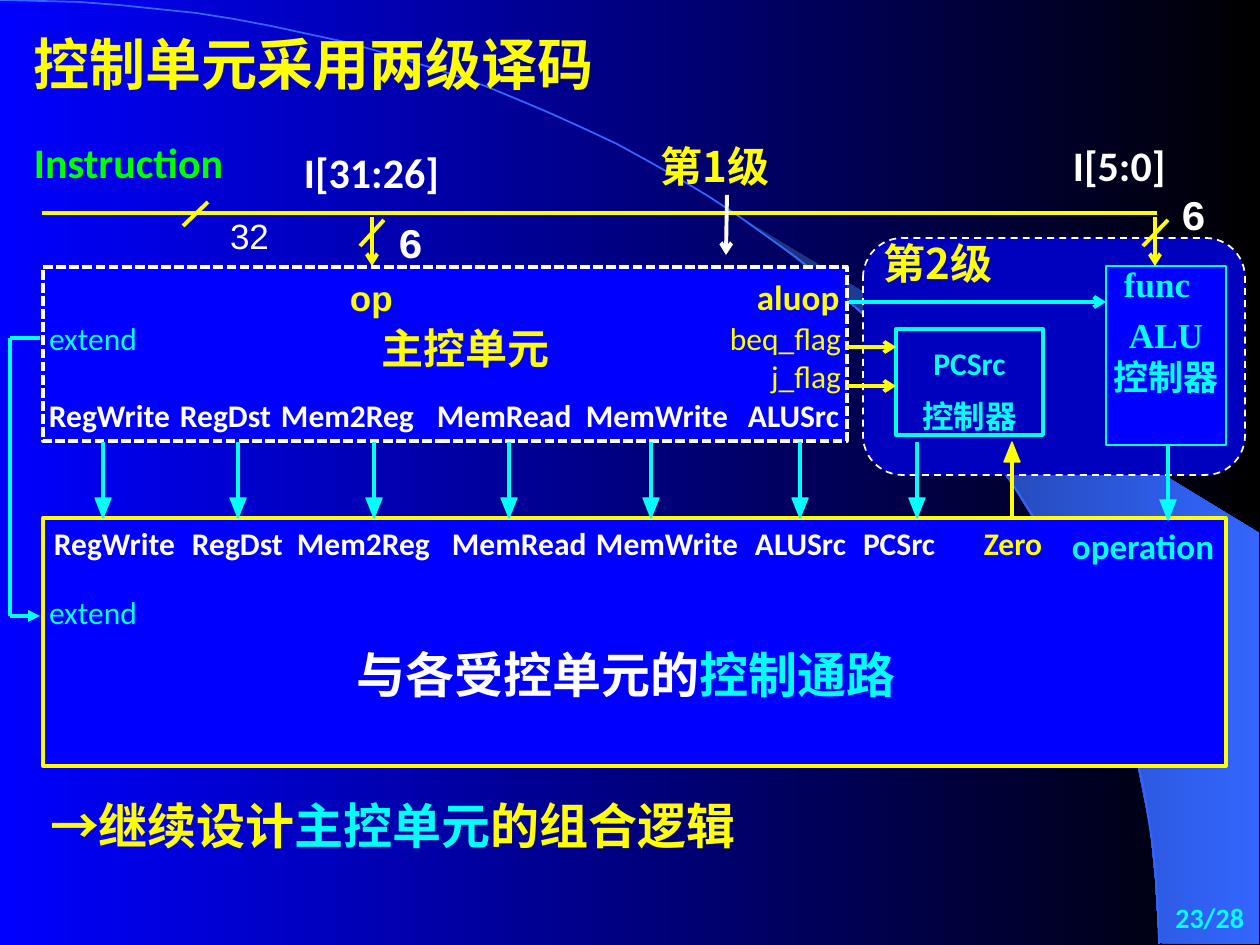
from dataclasses import dataclass
from typing import NamedTuple

from lxml.etree import SubElement
from pptx import Presentation
from pptx.dml.color import RGBColor
from pptx.enum.dml import MSO_LINE
from pptx.enum.shapes import MSO_CONNECTOR, MSO_SHAPE
from pptx.enum.text import MSO_ANCHOR, MSO_AUTO_SIZE, PP_ALIGN
from pptx.oxml.ns import qn
from pptx.util import Emu, Pt

UNIT = 914400 / 126  # EMU per px
SLACK = 6  # px of spare width that keeps a label on one line


@dataclass(frozen=True)
class Theme:
    white: str = "FFFFFF"
    yellow: str = "FFFF00"
    cyan: str = "00FFFF"
    green: str = "00FF00"
    blue: str = "0000FF"
    navy: str = "0000BF"
    black: str = "000000"
    dusk: str = "182F76"
    sky: str = "3366FF"
    sans: str = "Calibri"
    arial: str = "Arial"
    serif: str = "Times New Roman"
    mono: str = "Courier New"
    han: str = "Noto Sans CJK SC"
    page: int = 16
    small: int = 18
    mid: int = 20
    large: int = 24
    huge: int = 28
    title: int = 32
    thin: float = 1
    line: float = 1.87
    bold: float = 2.25


T = Theme()


class Box(NamedTuple):
    x: int
    y: int
    w: int
    h: int


class Label(NamedTuple):
    box: Box
    text: str
    size: int
    color: str
    font: str = T.sans
    bold: bool = True


class Wire(NamedTuple):
    x1: int
    y1: int
    x2: int
    y2: int
    color: str = T.yellow
    tail: str = ""
    width: float = T.bold


class Signal(NamedTuple):
    name: str
    w: int
    top: int   # left edge of the label in the main unit
    low: int   # left edge of the label in the datapath
    stem: int  # x of the arrow


def px(n: float) -> Emu:
    return Emu(round(n * UNIT))


def rgb(color: str) -> RGBColor:
    return RGBColor.from_string(color)


def shade(fill, start: str, end: str) -> None:
    fill.gradient()
    fill.gradient_angle = 0
    for stop, color in zip(fill.gradient_stops, (start, end)):
        stop.color.rgb = rgb(color)


def style(par, size: int, color: str, font: str, bold: bool = True) -> None:
    par.font.size, par.font.bold = Pt(size), bold
    par.font.color.rgb = rgb(color)
    par.font.name = font
    props = par._p.get_or_add_pPr().find(qn("a:defRPr"))
    SubElement(props, qn("a:ea"), typeface=T.han)


def inset(frame, x: int, y: int) -> None:
    frame.margin_left = frame.margin_right = px(x)
    frame.margin_top = frame.margin_bottom = px(y)


def write(frame, label: Label, align=None) -> None:
    """One paragraph a line; '|' parts the runs of a line."""
    for i, row in enumerate(label.text.split("\n")):
        par = frame.paragraphs[0] if i == 0 else frame.add_paragraph()
        for part in row.split("|"):
            par.add_run().text = part
        par.alignment = align
        style(par, label.size, label.color, label.font, label.bold)


def text(shapes, label: Label, align=None, pad: bool = False, wrap: bool = False):
    x, y, w, h = label.box
    spare = 0 if align else SLACK
    frame = shapes.add_textbox(px(x), px(y), px(w + spare), px(h)).text_frame
    frame.word_wrap = wrap
    frame.auto_size = MSO_AUTO_SIZE.SHAPE_TO_FIT_TEXT
    inset(frame, *((13, 6) if pad else (0, 0)))
    write(frame, label, align)
    return frame


def block(shapes, box: Box, fill: str, edge: str, width: float, kind=MSO_SHAPE.RECTANGLE, dash=None):
    shape = shapes.add_shape(kind, *map(px, box))
    shape.shadow.inherit = False
    if fill:
        shape.fill.solid()
        shape.fill.fore_color.rgb = rgb(fill)
    else:
        shape.fill.background()
    shape.line.color.rgb, shape.line.width = rgb(edge), Pt(width)
    if dash:
        shape.line.dash_style = dash
    return shape


def wire(shapes, w: Wire) -> None:
    line = shapes.add_connector(MSO_CONNECTOR.STRAIGHT, px(w.x1), px(w.y1), px(w.x2), px(w.y2))
    line.line.color.rgb, line.line.width = rgb(w.color), Pt(w.width)
    props = line._element.spPr
    if w.tail:
        SubElement(props.find(qn("a:ln")), qn("a:tailEnd"), type=w.tail)
    SubElement(props, qn("a:effectLst"))


def outline(shapes, points, edge: str, width: float, close: bool = True):
    pen = shapes.build_freeform(*points[0], scale=UNIT)
    pen.add_line_segments(points[1:], close=close)
    shape = pen.convert_to_shape()
    shape.shadow.inherit = False
    shape.line.color.rgb, shape.line.width = rgb(edge), Pt(width)
    return shape


def arrow(shapes, x: int, start: int, tip: int, color: str) -> None:
    way = 1 if tip > start else -1
    base = tip - 20 * way
    head = outline(shapes, [(x, tip), (x - 8, base), (x + 8, base)], color, 0.75)
    head.fill.solid()
    head.fill.fore_color.rgb = rgb(color)
    wire(shapes, Wire(x, start, x, tip - 7 * way, color, width=T.line))


def backdrop(slide) -> None:
    shade(slide.background.fill, T.blue, T.black)
    edge = [(1159, 943), (1259, 944), (1259, 533), (742, 218), (786, 251), (823, 280),
            (863, 315), (902, 353), (960, 416), (1012, 484), (1048, 543), (1081, 604),
            (1106, 665), (1125, 721), (1138, 767), (1150, 827), (1155, 877)]
    band = outline(slide.shapes, edge, T.sky, T.thin)
    band.line.fill.background()
    shade(band.fill, T.dusk, T.sky)
    # Cubic curve from the top left corner to the foot of the band
    curve = []
    for i in range(49):
        t = i / 48
        u = 1 - t
        curve.append((round(3 * u * u * t * 640 + 3 * u * t * t * 1159 + t ** 3 * 1159),
                      round(3 * u * t * t * 422 + t ** 3 * 944)))
    outline(slide.shapes, curve, T.sky, T.thin, False).fill.background()


SIGNALS = [
    Signal("RegWrite", 123, 49, 54, 103), Signal("RegDst", 92, 180, 192, 238),
    Signal("Mem2Reg", 134, 281, 297, 374), Signal("MemRead", 135, 437, 452, 509),
    Signal("MemWrite", 144, 586, 596, 651), Signal("ALUSrc", 92, 748, 755, 800),
]
LABELS = [
    Label(Box(382, 323, 168, 50), "主控单元", T.large, T.yellow, T.han),
    Label(Box(863, 524, 73, 38), "PCSrc", T.small, T.white),
    Label(Box(984, 524, 59, 38), "Zero", T.small, T.yellow),
    Label(Box(350, 276, 43, 42), "op", T.mid, T.yellow, T.arial),
    Label(Box(304, 147, 135, 50), "I[31:26]", T.large, T.white),
    Label(Box(398, 217, 25, 50), "6", T.large, T.white, T.mono),
    Label(Box(1073, 140, 93, 50), "I[5:0]", T.large, T.white),
    Label(Box(1181, 189, 25, 50), "6", T.large, T.white, T.mono),
    Label(Box(230, 214, 39, 42), "32", T.mid, T.white, T.arial, False),
    Label(Box(1072, 524, 144, 42), "operation", T.mid, T.cyan),
    Label(Box(757, 275, 82, 42), "aluop", T.mid, T.yellow),
    Label(Box(1124, 262, 67, 42), "func", T.mid, T.cyan, T.serif),
    Label(Box(49, 319, 88, 38), "extend", T.small, T.cyan, bold=False),
    Label(Box(49, 593, 88, 38), "extend", T.small, T.cyan, bold=False),
]
WIRES = [
    # Instruction bus and its taps
    Wire(1157, 213, 42, 213), Wire(208, 202, 183, 226),
    Wire(372, 217, 372, 266, tail="arrow"), Wire(384, 220, 360, 246),
    Wire(1155, 217, 1155, 266, tail="arrow"), Wire(1168, 220, 1143, 246),
    Wire(727, 195, 726, 255, T.white, "arrow"),
    # Main unit to the second level
    Wire(849, 302, 1106, 302, T.cyan, "arrow"),
    Wire(847, 347, 896, 347, tail="arrow"), Wire(847, 386, 896, 386, tail="arrow"),
    # Path of extend
    Wire(10, 338, 40, 338, T.cyan), Wire(10, 338, 10, 616, T.cyan),
    Wire(10, 616, 40, 616, T.cyan, "triangle"),
]


def main() -> None:
    deck = Presentation()
    deck.slide_width, deck.slide_height = px(1260), px(945)
    slide = deck.slides.add_slide(deck.slide_layouts[5])
    shapes = slide.shapes
    backdrop(slide)

    # Title, in front of the backdrop
    title = shapes.title
    shapes._spTree.append(title._element)
    title.left, title.top, title.width, title.height = map(px, Box(21, 16, 709, 95))
    title.text_frame.vertical_anchor = MSO_ANCHOR.MIDDLE
    write(title.text_frame, Label(Box(0, 0, 0, 0), "控制单元采用两级译码", T.title, T.yellow, T.serif), PP_ALIGN.LEFT)

    # Units
    block(shapes, Box(863, 238, 382, 237), T.navy, T.white, T.thin, MSO_SHAPE.ROUNDED_RECTANGLE, MSO_LINE.DASH)
    block(shapes, Box(43, 518, 1183, 248), T.blue, T.yellow, T.line)
    block(shapes, Box(43, 267, 804, 174), T.blue, T.white, T.line, dash=MSO_LINE.SQUARE_DOT)
    source = Box(896, 329, 147, 106)
    frame = block(shapes, source, "", T.cyan, T.bold).text_frame
    frame.vertical_anchor = MSO_ANCHOR.TOP
    inset(frame, 0, 0)
    write(frame, Label(source, "PCSrc\n控制器", T.small, T.cyan), PP_ALIGN.CENTER)
    for par in frame.paragraphs:
        par.line_spacing = 1.4
    alu = Box(1106, 266, 120, 179)
    frame = block(shapes, alu, T.blue, T.cyan, T.thin).text_frame
    frame.word_wrap = False
    write(frame, Label(alu, "ALU\n控制器", T.mid, T.cyan, T.serif), PP_ALIGN.CENTER)

    # Signals from the main unit down to the datapath
    for s in SIGNALS:
        for x, y in ((s.top, 396), (s.low, 524)):
            text(shapes, Label(Box(x, y, s.w, 38), s.name, T.small, T.white))
        arrow(shapes, s.stem, 442, 518, T.cyan)
    arrow(shapes, 917, 442, 518, T.cyan)
    arrow(shapes, 1168, 445, 520, T.cyan)
    arrow(shapes, 1012, 518, 442, T.yellow)

    # Labels and wires
    for label in LABELS:
        text(shapes, label)
    text(shapes, Label(Box(34, 137, 218, 50), "Instruction", T.large, T.green), wrap=True)
    text(shapes, Label(Box(730, 319, 111, 76), "beq_flag\nj_flag", T.small, T.yellow, bold=False), PP_ALIGN.RIGHT)
    for box, name in ((Box(648, 135, 155, 63), "第1级"), (Box(871, 232, 155, 63), "第2级")):
        text(shapes, Label(box, name, T.large, T.yellow, T.han), pad=True)
    for w in WIRES:
        wire(shapes, w)

    # Statements with a cyan key phrase
    for box, words, color, font, pad in (
        (Box(357, 644, 538, 59), "与各受控单元的|控制通路", T.white, T.arial, False),
        (Box(37, 790, 709, 72), "→继续设计|主控单元|的组合逻辑", T.yellow, T.han, True),
    ):
        frame = text(shapes, Label(box, words, T.huge, color, font), pad=pad)
        frame.paragraphs[0].runs[1].font.color.rgb = rgb(T.cyan)

    # Page number
    frame = text(shapes, Label(Box(1108, 893, 149, 49), "23/28", T.page, T.cyan), PP_ALIGN.RIGHT, True, True)
    frame.vertical_anchor = MSO_ANCHOR.MIDDLE
    deck.save("out.pptx")


if __name__ == "__main__":
    main()
